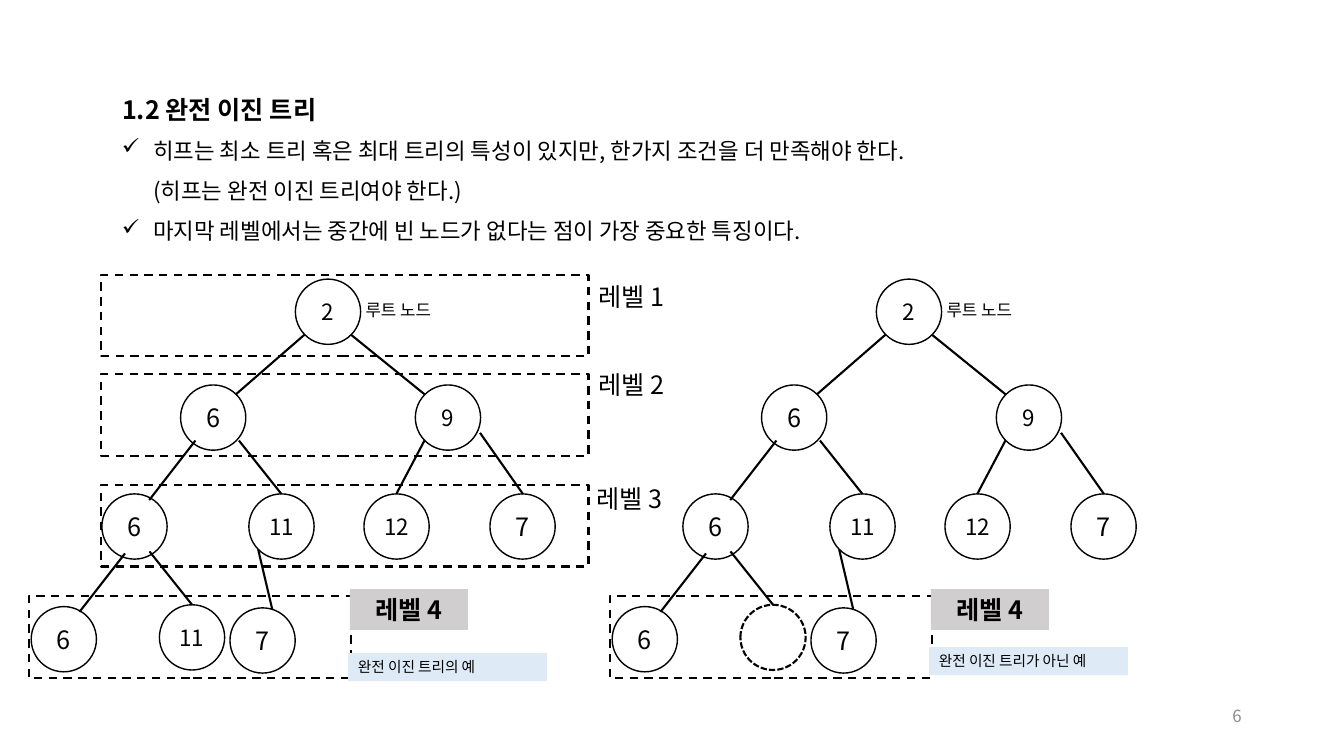
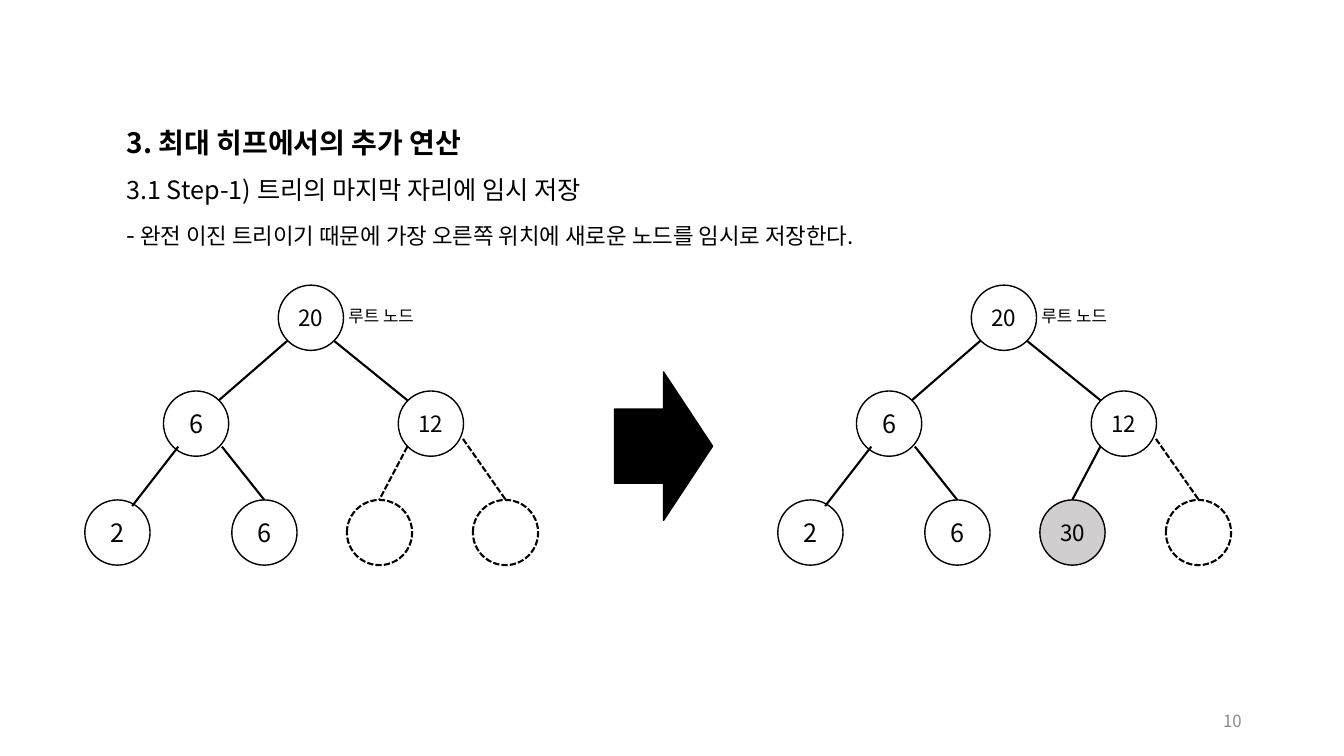
from dataclasses import dataclass

from lxml import etree
from pptx import Presentation
from pptx.dml.color import RGBColor
from pptx.enum.dml import MSO_LINE as DASH
from pptx.enum.shapes import MSO_CONNECTOR, MSO_SHAPE as SHAPE
from pptx.enum.text import MSO_ANCHOR as ANCHOR, MSO_AUTO_SIZE as AUTO, PP_ALIGN as ALIGN
from pptx.oxml.ns import qn
from pptx.util import Pt


@dataclass(frozen=True)
class Theme:
    font: str = "Noto Sans CJK KR"
    ink: str = "000000"
    muted: str = "8C8C8C"
    gray: str = "D0CECE"
    pale: str = "DEEBF7"
    large: float = 18
    body: float = 16
    small: float = 12
    caption: float = 10.5
    thin: float = 1
    thick: float = 1.5
    spacing: float = 1.5


T = Theme()


def add_run(p, text, size, color=T.ink, bold=False):
    r = p.add_run()
    r.text = text
    r.font.size, r.font.bold, r.font.name = Pt(size), bold, T.font
    r.font.color.rgb = RGBColor.from_string(color)
    etree.SubElement(r._r.rPr, qn("a:ea"), typeface=T.font)


def add_box(s, kind, x, y, w, h, text="", size=T.body, color=T.ink, bold=False,
            fill=None, line=None, dash=None, align=ALIGN.LEFT, anchor=ANCHOR.TOP):
    """A preset shape, or a text box when kind is None."""
    frame = [Pt(v) for v in (x, y, w, h)]
    if kind is None:
        sp = s.shapes.add_textbox(*frame)
    else:
        sp = s.shapes.add_shape(kind, *frame)
        sp.shadow.inherit = False
    if fill:
        sp.fill.solid()
        sp.fill.fore_color.rgb = RGBColor.from_string(fill)
    else:
        sp.fill.background()
    if line:
        sp.line.width = Pt(line)
        sp.line.color.rgb = RGBColor.from_string(T.ink)
        sp.line.dash_style = dash
    else:
        sp.line.fill.background()
    tf = sp.text_frame
    tf.word_wrap = kind != SHAPE.OVAL
    tf.vertical_anchor = anchor
    if text:
        tf.paragraphs[0].alignment = align
        add_run(tf.paragraphs[0], text, size, color, bold)
    return sp


# Tree slots, parents first: left and top of the node
NODE = 46.6
SLOTS = [(211, 199.4), (129, 275), (296.7, 275),
         (72.8, 352.8), (177.8, 352.8), (260, 352.8), (350, 352.8),
         (22.3, 433.3), (113.9, 432), (164.3, 434.2)]
LIGHT_SLOTS = (0, 2)  # always set in the smaller size

# Edge into each slot after the root: from x, y to x, y
EDGES = [(217.6, 239, 168.6, 281.6), (250.6, 239, 303.2, 281.6),
         (139.6, 314.7, 106.6, 357.2), (170.7, 314.7, 201, 352.8),
         (303.2, 314.7, 283.1, 352.8), (342.9, 309.2, 373.5, 352.8),
         (89.3, 395.3, 56.8, 437.1), (106.8, 393.9, 137.2, 432),
         (184.4, 392.4, 194.5, 435.3)]

# Gap between the two trees of a slide
PAIR_1, PAIR_2 = 415, 495
X_2, Y_2 = -12.2, 4.3

SLIDES = [
    dict(title="1.2 완전 이진 트리", size=18, x=80, y=52.6, body_y=84.7, number=("6", 497),
         body=[("✓", [("히프는 최소 트리 혹은 최대 트리의 특성이 있지만, 한가지 조건을 더 만족해야 한다.", T.body),
                      None, ("(히프는 완전 이진 트리여야 한다.)", T.body)]),
               ("✓", [("마지막 레벨에서는 중간에 빈 노드가 없다는 점이 가장 중요한 특징이다.", T.body)])],
         trees=[dict(dx=0, dy=0, labels="2 6 9 6 11 12 7 6 11 7".split()),
                dict(dx=PAIR_1, dy=0, labels="2 6 9 6 11 12 7 6 _ 7".split())]),
    dict(title="3. 최대 히프에서의 추가 연산", size=20, x=83.2, y=74.2, body_y=109.9, number=("10", 500.4),
         body=[(None, [("3.1 Step-1) 트리의 마지막 자리에 임시 저장", T.large)]),
               (None, [("-", T.large),
                       (" 완전 이진 트리이기 때문에 가장 오른쪽 위치에 새로운 노드를 임시로 저장한다.", T.body)])],
         trees=[dict(dx=X_2, dy=Y_2, labels="20 6 12 2 6 _ _".split(), dashed=(5, 6)),
                dict(dx=X_2 + PAIR_2, dy=Y_2, labels="20 6 12 2 6 30 _".split(), dashed=(6,), added=5)]),
]

prs = Presentation()
prs.slide_width, prs.slide_height = Pt(960), Pt(540)
title_only = prs.slide_layouts[5]

for data in SLIDES:
    s = prs.slides.add_slide(title_only)

    # Title
    sp = s.shapes.title
    sp.left, sp.top, sp.width, sp.height = Pt(data["x"]), Pt(data["y"]), Pt(742), Pt(40)
    tf = sp.text_frame
    tf.auto_size, tf.word_wrap, tf.vertical_anchor = AUTO.NONE, True, ANCHOR.TOP
    p = tf.paragraphs[0]
    p.alignment, p.line_spacing = ALIGN.LEFT, T.spacing
    add_run(p, data["title"], data["size"], bold=True)

    # Body text
    tf = add_box(s, None, data["x"], data["body_y"], 742, 95).text_frame
    for i, (bullet, runs) in enumerate(data["body"]):
        p = tf.add_paragraph() if i else tf.paragraphs[0]
        p.line_spacing = T.spacing
        if bullet:
            pPr = p._p.get_or_add_pPr()
            pPr.set("marL", str(Pt(22.5)))
            pPr.set("indent", str(-Pt(22.5)))
            etree.SubElement(pPr, qn("a:buChar"), char=bullet)
        for run in runs:
            if run:
                add_run(p, *run)
            else:
                p.add_line_break()

    # Trees: an underscore marks an empty slot
    for tree in data["trees"]:
        dx, dy = tree["dx"], tree["dy"]
        for slot, (label, (x, y)) in enumerate(zip(tree["labels"], SLOTS)):
            empty = label == "_"
            light = slot in LIGHT_SLOTS or len(label) > 1
            add_box(s, SHAPE.OVAL, x + dx, y + dy, NODE, NODE, "" if empty else label,
                    T.body if light else T.large,
                    fill=T.gray if slot == tree.get("added") else None,
                    line=T.thick if empty else T.thin, dash=DASH.SQUARE_DOT if empty else None,
                    align=ALIGN.CENTER, anchor=ANCHOR.MIDDLE)
        for slot, (x1, y1, x2, y2) in enumerate(EDGES[:len(tree["labels"]) - 1], 1):
            c = s.shapes.add_connector(MSO_CONNECTOR.STRAIGHT, Pt(x1 + dx), Pt(y1 + dy),
                                       Pt(x2 + dx), Pt(y2 + dy))
            c.line.width = Pt(T.thick)
            c.line.color.rgb = RGBColor.from_string(T.ink)
            if slot in tree.get("dashed", ()):
                c.line.dash_style = DASH.SQUARE_DOT
            etree.SubElement(c._element.spPr, qn("a:effectLst"))
        add_box(s, None, 254 + dx, 210.2 + dy, 90, 21.8, "루트 노드", T.small)

    # Slide number
    number, y = data["number"]
    add_box(s, None, 678, y, 216, 28.8, number, T.small, T.muted,
            align=ALIGN.RIGHT, anchor=ANCHOR.MIDDLE)

compare, insert = prs.slides

# Level frames of the left tree
for level, (frame_y, x, y) in enumerate([(196.3, 420.5, 197.3), (267.2, 420.5, 260),
                                         (346.4, 419, 342)], 1):
    add_box(compare, SHAPE.RECTANGLE, 72.4, frame_y, 348, 58.3, line=T.thick, dash=DASH.DASH)
    add_box(compare, None, x, y, 139, 29, f"레벨 {level}", T.large)

# Last level and caption of each tree
for dx, y, caption in [(0, 466.5, "완전 이진 트리의 예"), (PAIR_1, 462.3, "완전 이진 트리가 아닌 예")]:
    add_box(compare, SHAPE.RECTANGLE, 20.5 + dx, 426, 230, 58.3, line=T.thick, dash=DASH.DASH)
    add_box(compare, SHAPE.RECTANGLE, 250 + dx, 420.9, 84.2, 29, "레벨 4", T.large, bold=True,
            fill=T.gray, align=ALIGN.CENTER)
    add_box(compare, SHAPE.RECTANGLE, 248.6 + dx, y, 142, 20, caption, T.caption, fill=T.pale)

# Arrow from the tree before to the tree after
add_box(insert, SHAPE.RIGHT_ARROW, 439, 265.7, 70, 106, fill=T.ink, line=T.thin)

prs.save("out.pptx")
